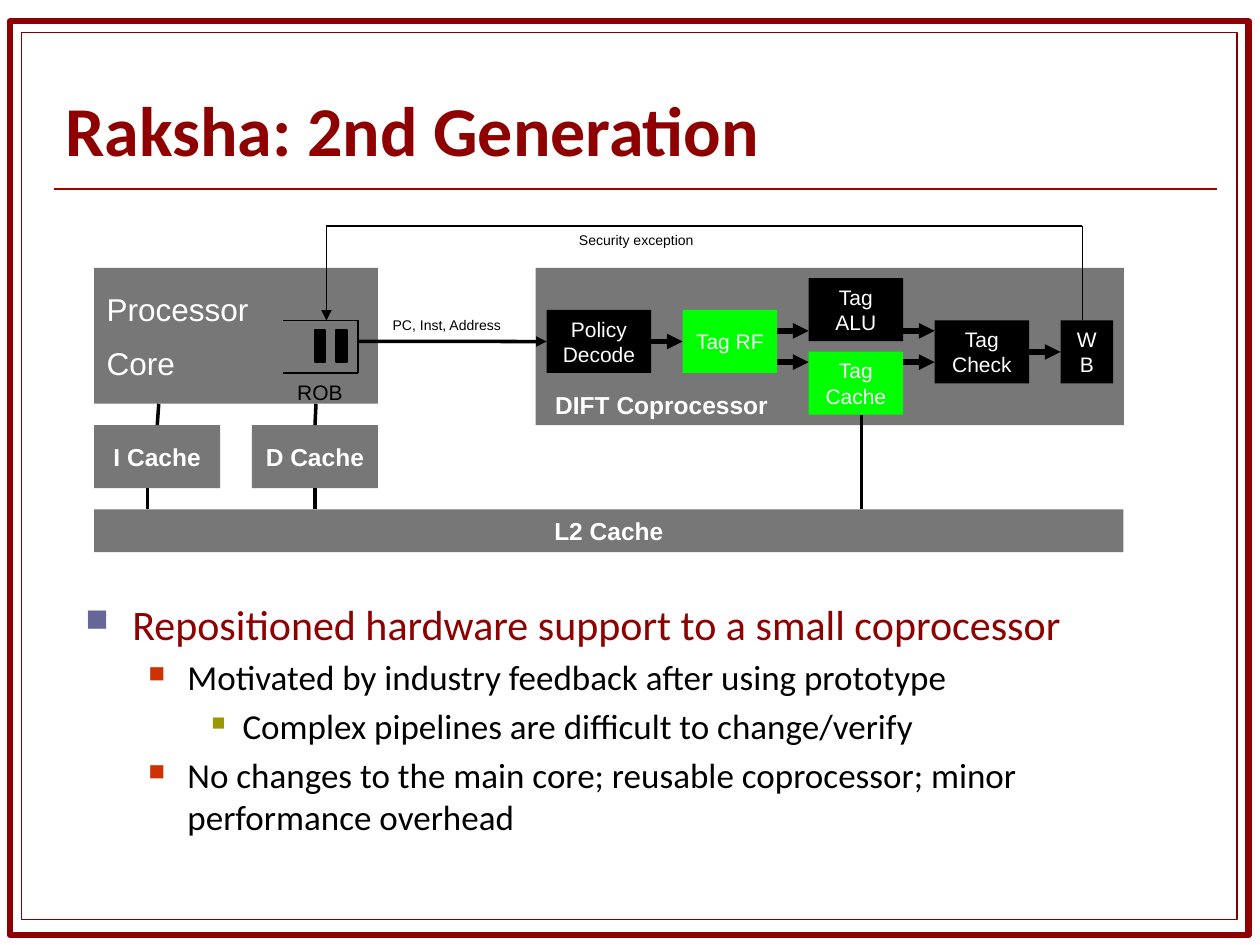
from dataclasses import dataclass
from itertools import product
from typing import Optional

from lxml import etree
from pptx import Presentation
from pptx.dml.color import RGBColor
from pptx.enum.shapes import MSO_CONNECTOR, MSO_SHAPE
from pptx.enum.text import MSO_ANCHOR, PP_ALIGN
from pptx.oxml.ns import qn
from pptx.util import Cm, Pt

RECT = MSO_SHAPE.RECTANGLE
LINE = MSO_CONNECTOR.STRAIGHT
LEFT, CENTER = PP_ALIGN.LEFT, PP_ALIGN.CENTER
TOP, MIDDLE, BOTTOM = MSO_ANCHOR.TOP, MSO_ANCHOR.MIDDLE, MSO_ANCHOR.BOTTOM
NORTH, WEST, SOUTH, EAST = range(4)

COLORS = {
    "white": "FFFFFF", "black": "000000", "gray": "777777", "green": "00FF00",
    "frame": "8F0000", "inner": "820000", "rule": "AC0000",
    "blue": "666699", "orange": "CC3300", "olive": "999900",
}


@dataclass
class Box:
    text: str
    x: float
    y: float
    w: float
    h: float
    fill: str = "gray"
    size: int = 14
    bold: bool = False
    align: PP_ALIGN = CENTER
    edge: Optional[str] = None
    weight: float = 1


@dataclass
class Label:
    text: str
    x: float
    y: float
    w: float
    h: float
    size: int
    color: str = "black"
    bold: bool = False
    font: str = "Arial"
    align: PP_ALIGN = CENTER
    anchor: MSO_ANCHOR = TOP


@dataclass
class Link:
    """Each end is a point (x, y) or a box side (name, side)."""
    start: tuple
    end: tuple
    weight: float = 1
    arrow: bool = False
    color: str = "black"


@dataclass
class Bullet:
    text: str
    level: int
    size: int
    color: str
    mark: str
    scale: int
    margin: float
    hang: float


FRAMES = [
    Box("", 0.2, 0.43, 24.97, 18.42, "white", edge="frame", weight=3.5),
    Box("", 0.43, 0.66, 24.51, 17.88, "white", edge="inner", weight=0.75),
]
BLOCKS = [
    Box("Processor\nCore", 1.9, 5.4, 5.72, 2.74, size=18, align=LEFT),
    Box("I Cache", 1.9, 8.57, 2.54, 1.27, bold=True),
    Box("D Cache", 5.08, 8.57, 2.54, 1.27, bold=True),
    Box("L2 Cache", 1.9, 10.27, 20.75, 0.86, bold=True),
    Box("", 10.8, 5.4, 11.86, 3.17),
    Box("Policy Decode", 11.02, 6.25, 2.11, 1.27, "black", 12),
    Box("Tag RF", 13.76, 6.25, 1.91, 1.27, "green", 12),
    Box("Tag ALU", 16.3, 5.61, 1.91, 1.27, "black", 12),
    Box("Tag Cache", 16.3, 7.09, 1.91, 1.27, "green", 12),
    Box("Tag Check", 18.84, 6.46, 1.91, 1.27, "black", 12),
    Box("W B", 21.38, 6.46, 1.06, 1.27, "black", 12),
]
BARS = [Box("", x, 6.66, 0.21, 0.64, "black", edge="black") for x in (6.35, 6.78)]
LABELS = [
    Label("Raksha: 2nd Generation", 1.07, 1.07, 21.59, 2.49, 40, "frame", True,
          "Calibri", LEFT, BOTTOM),
    Label("ROB", 5.5, 7.52, 1.9, 0.76, 12),
    Label("DIFT Coprocessor", 10.8, 7.73, 5.08, 0.86, 14, "white", True),
    Label("PC, Inst, Address", 6.57, 6.25, 4.88, 0.61, 8),
    Label("Security exception", 10.39, 4.55, 4.88, 0.61, 8),
]
LINKS = [
    Link((1.09, 3.81), (24.54, 3.81), 1.5, color="rule"),
    # reorder buffer
    Link((5.71, 6.46), (7.21, 6.46)),
    Link((5.71, 7.52), (7.21, 7.52)),
    Link((7.21, 6.46), (7.21, 7.52)),
    # caches
    Link((3.2, 8.14), ("I Cache", NORTH), 2),
    Link((6.37, 8.14), ("D Cache", NORTH), 2),
    Link((2.97, 9.84), (2.97, 10.27), 2),
    Link(("D Cache", SOUTH), (6.35, 10.27), 2),
    Link((17.37, 8.36), (17.37, 10.27), 2),
    # pipeline
    Link((7.21, 6.88), ("Policy Decode", WEST), 2, True),
    Link(("Policy Decode", EAST), ("Tag RF", WEST), 3, True),
    Link(("Tag Check", EAST), ("W B", WEST), 3, True),
    # security exception
    Link((6.58, 4.55), (21.82, 4.55)),
    Link((6.58, 4.55), (6.58, 6.46), arrow=True),
    Link((21.82, 4.55), (21.82, 6.46)),
] + [Link((x, y), (x + 0.63, y), 3, True)
     for x, y in product((15.67, 18.21), (6.67, 7.3))]
BULLETS = [
    Bullet("Repositioned hardware support to a small coprocessor",
           0, 24, "frame", "blue", 75, 0.95, 0.95),
    Bullet("Motivated by industry feedback after using prototype",
           1, 20, "black", "orange", 65, 2.06, 0.79),
    Bullet("Complex pipelines are difficult to change/verify",
           2, 20, "black", "olive", 55, 3.17, 0.63),
    Bullet("No changes to the main core; reusable coprocessor; minor "
           "performance overhead", 1, 20, "black", "orange", 65, 2.06, 0.79),
]


def rgb(name: str) -> RGBColor:
    return RGBColor.from_string(COLORS[name])


def style(para, size: int, color: str, bold: bool = False,
          font: str = "Arial", align: PP_ALIGN = LEFT) -> None:
    para.alignment = align
    for run in para.runs:
        run.font.name, run.font.size, run.font.bold = font, Pt(size), bold
        run.font.color.rgb = rgb(color)


def draw_box(slide, box: Box):
    shape = slide.shapes.add_shape(RECT, Cm(box.x), Cm(box.y), Cm(box.w), Cm(box.h))
    shape.shadow.inherit = False
    shape.fill.solid()
    shape.fill.fore_color.rgb = rgb(box.fill)
    if box.edge:
        shape.line.color.rgb = rgb(box.edge)
        shape.line.width = Pt(box.weight)
    else:
        shape.line.fill.background()
    if box.text:
        frame = shape.text_frame
        frame.text, frame.vertical_anchor = box.text, MIDDLE
        for i, para in enumerate(frame.paragraphs):
            style(para, box.size, "white", box.bold, align=box.align)
            if i:
                para.space_before = Pt(box.size / 2)
    return shape


def add_frame(slide, x: float, y: float, w: float, h: float):
    frame = slide.shapes.add_textbox(Cm(x), Cm(y), Cm(w), Cm(h)).text_frame
    frame.word_wrap = True
    return frame


def draw_label(slide, label: Label) -> None:
    frame = add_frame(slide, label.x, label.y, label.w, label.h)
    frame.text, frame.vertical_anchor = label.text, label.anchor
    para = frame.paragraphs[0]
    style(para, label.size, label.color, label.bold, label.font, label.align)
    if label.anchor == BOTTOM:
        para.line_spacing = 0.8


def draw_link(slide, link: Link, shapes: dict) -> None:
    ends = (link.start, link.end)
    spots = [(0, 0) if end[0] in shapes else end for end in ends]
    line = slide.shapes.add_connector(LINE, *(Cm(v) for spot in spots for v in spot))
    for end, join in zip(ends, (line.begin_connect, line.end_connect)):
        if end[0] in shapes:
            join(shapes[end[0]], end[1])
    line.line.color.rgb = rgb(link.color)
    line.line.width = Pt(link.weight)
    if link.arrow:
        etree.SubElement(line.line._get_or_add_ln(), qn("a:tailEnd"), type="triangle")
    etree.SubElement(line._element.spPr, qn("a:effectLst"))


def draw_list(slide, items: list[Bullet]) -> None:
    frame = add_frame(slide, 1.47, 11.94, 22.66, 6.25)
    frame.text = "\n".join(item.text for item in items)
    for para, item in zip(frame.paragraphs, items):
        style(para, item.size, item.color, font="Calibri")
        para.level = item.level
        para.space_before = Pt(item.size / 5)
        props = para._p.get_or_add_pPr()
        props.set("marL", str(Cm(item.margin)))
        props.set("indent", str(-Cm(item.hang)))
        tint = etree.SubElement(props, qn("a:buClr"))
        etree.SubElement(tint, qn("a:srgbClr"), val=COLORS[item.mark])
        etree.SubElement(props, qn("a:buSzPct"), val=str(item.scale * 1000))
        etree.SubElement(props, qn("a:buChar"), char="■")


def main() -> None:
    deck = Presentation()
    deck.slide_width, deck.slide_height = Cm(25.4), Cm(19.05)
    slide = deck.slides.add_slide(deck.slide_layouts[6])
    for box in FRAMES:
        draw_box(slide, box)
    shapes = {box.text: draw_box(slide, box) for box in BLOCKS}
    for bar in BARS:
        draw_box(slide, bar)
    for link in LINKS:
        draw_link(slide, link, shapes)
    for label in LABELS:
        draw_label(slide, label)
    draw_list(slide, BULLETS)
    deck.save("out.pptx")


if __name__ == "__main__":
    main()
